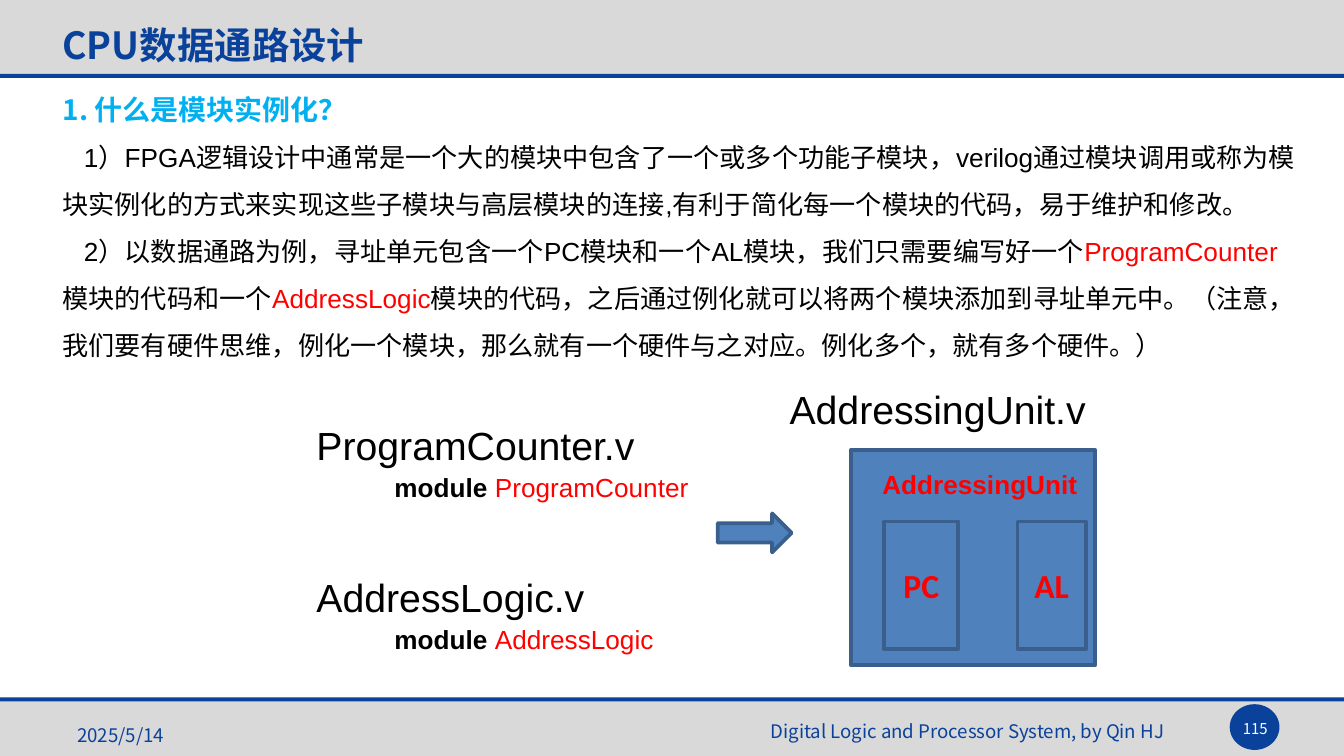
import pptx
import pptx.dml.color
import pptx.enum.shapes
import pptx.enum.text
import pptx.oxml.ns
import pptx.util
from lxml import etree
from pptx.util import Inches

RGBColor = pptx.dml.color.RGBColor
SHAPES = pptx.enum.shapes.MSO_SHAPE
ANCHOR = pptx.enum.text.MSO_ANCHOR
ALIGN = pptx.enum.text.PP_ALIGN

NAVY = RGBColor(0x0A, 0x41, 0x9B)
GRAY = RGBColor(0xD9, 0xD9, 0xD9)
CYAN = RGBColor(0x00, 0xB0, 0xF0)
BLUE = RGBColor(0x4F, 0x81, 0xBD)
OUTLINE = RGBColor(0x3A, 0x5F, 0x8C)
RED = RGBColor(0xFF, 0x00, 0x00)
BLACK = RGBColor(0x00, 0x00, 0x00)
WHITE = RGBColor(0xFF, 0xFF, 0xFF)

CJK_FONT = "Noto Sans CJK SC"
WIDTH = 10
HEIGHT = WIDTH * 9 / 16


def add_block(slide, kind, left, top, width, height, fill, outline=None):
    shape = slide.shapes.add_shape(
        kind, Inches(left), Inches(top), Inches(width), Inches(height))
    shape.shadow.inherit = False
    shape.fill.solid()
    shape.fill.fore_color.rgb = fill
    if outline is None:
        shape.line.fill.background()
    else:
        shape.line.color.rgb = outline
        shape.line.width = pptx.util.Pt(2)
    return shape


def prepare_frame(shape, anchor):
    frame = shape.text_frame
    frame.word_wrap = True
    frame.vertical_anchor = anchor
    frame.margin_left = frame.margin_right = pptx.util.Pt(5.4)
    frame.margin_top = frame.margin_bottom = pptx.util.Pt(2.7)
    return frame


def write_runs(paragraph, parts, size, font_name):
    """Add runs from (text, colour, bold) parts."""
    for text, color, bold in parts:
        run = paragraph.add_run()
        run.text = text
        run.font.size = pptx.util.Pt(size)
        run.font.name = font_name
        run.font.bold = bold
        run.font.color.rgb = color
        east_asian = etree.SubElement(
            run.font._element, pptx.oxml.ns.qn("a:ea"))
        east_asian.set("typeface", CJK_FONT)


def add_text(slide, left, top, width, height, parts, size, font_name="Arial",
             anchor=ANCHOR.TOP, align=ALIGN.LEFT):
    box = slide.shapes.add_textbox(
        Inches(left), Inches(top), Inches(width), Inches(height))
    paragraph = prepare_frame(box, anchor).paragraphs[0]
    paragraph.alignment = align
    write_runs(paragraph, parts, size, font_name)
    return box


def add_header(slide, height):
    add_block(slide, SHAPES.RECTANGLE, 0, 0, WIDTH, height, GRAY)
    add_block(slide, SHAPES.RECTANGLE, 0, height, WIDTH, 0.03, NAVY)
    add_text(slide, 0.39, 0.08, 7.16, 0.51, [("CPU数据通路设计", NAVY, True)],
             20, CJK_FONT, ANCHOR.MIDDLE)


def add_footer(slide, top):
    add_block(slide, SHAPES.RECTANGLE, 0, top, WIDTH, HEIGHT - top, GRAY)
    add_block(slide, SHAPES.RECTANGLE, 0, top - 0.02, WIDTH, 0.03, NAVY)
    add_block(slide, SHAPES.OVAL, 9.15, top + 0.03, 0.37, 0.34, NAVY)
    add_text(slide, 0.5, top + 0.11, 2.33, 0.3, [("2025/5/14", NAVY, False)],
             10, CJK_FONT, ANCHOR.MIDDLE)
    add_text(slide, 5.66, top + 0.11, 3.36, 0.31,
             [("Digital Logic and Processor System, by Qin HJ", NAVY, False)],
             10, CJK_FONT)
    add_text(slide, 9.1, top + 0.06, 0.48, 0.3, [("115", WHITE, False)],
             8, CJK_FONT, ANCHOR.MIDDLE, ALIGN.CENTER)


def add_explanation(slide, left, top, width, height):
    box = add_text(slide, left, top, width, height,
                   [("1. 什么是模块实例化？", CYAN, True)], 15, CJK_FONT)
    points = [
        [("1）FPGA逻辑设计中通常是一个大的模块中包含了一个或多个功能子模块，"
          "verilog通过模块调用或称为模块实例化的方式来实现这些子模块与高层模块的连接,"
          "有利于简化每一个模块的代码，易于维护和修改。", BLACK, False)],
        [("2）以数据通路为例，寻址单元包含一个PC模块和一个AL模块，"
          "我们只需要编写好一个", BLACK, False),
         ("ProgramCounter", RED, False),
         ("模块的代码和一个", BLACK, False),
         ("AddressLogic", RED, False),
         ("模块的代码，之后通过例化就可以将两个模块添加到寻址单元中。"
          "（注意，我们要有硬件思维，例化一个模块，那么就有一个硬件与之对应。"
          "例化多个，就有多个硬件。）", BLACK, False)],
    ]
    for parts in points:
        paragraph = box.text_frame.add_paragraph()
        paragraph.line_spacing = 1.5
        properties = paragraph._p.get_or_add_pPr()
        properties.set("marL", "0")
        properties.set("indent", str(Inches(0.16)))
        write_runs(paragraph, parts, 14, "Arial")


def add_file_name(slide, left, top, module):
    add_text(slide, left, top, 2.7, 0.43, [(module + ".v", BLACK, False)], 21)


def add_source_file(slide, left, top, module):
    """Place a file name with its module declaration below."""
    add_file_name(slide, left, top, module)
    add_text(slide, left + 0.58, top + 0.37, 2.6, 0.31,
             [("module ", BLACK, True), (module, RED, False)], 14)


def add_addressing_unit(slide, left, top, width, height):
    """Draw the unit block holding its two submodule instances."""
    add_block(slide, SHAPES.RECTANGLE, left, top, width, height, BLUE, OUTLINE)
    add_text(slide, left + 0.16, top + 0.1, 1.67, 0.31,
             [("AddressingUnit", RED, True)], 14)
    for name, offset, block_width in (("PC", 0.25, 0.55), ("AL", 1.24, 0.51)):
        block = add_block(slide, SHAPES.RECTANGLE, left + offset, top + 0.53,
                          block_width, 0.95, BLUE, OUTLINE)
        paragraph = prepare_frame(block, ANCHOR.MIDDLE).paragraphs[0]
        paragraph.alignment = ALIGN.CENTER
        write_runs(paragraph, [(name, RED, True)], 18, "Calibri")


def main():
    presentation = pptx.Presentation()
    presentation.slide_width = Inches(WIDTH)
    presentation.slide_height = Inches(HEIGHT)
    slide = presentation.slides.add_slide(presentation.slide_layouts[6])

    add_header(slide, 0.55)
    add_footer(slide, 5.21)
    add_explanation(slide, 0.39, 0.65, 9.37, 2.33)
    add_source_file(slide, 2.28, 3.1, "ProgramCounter")
    add_source_file(slide, 2.28, 4.23, "AddressLogic")
    add_block(slide, SHAPES.RIGHT_ARROW, 5.34, 3.82, 0.55, 0.29, BLUE, OUTLINE)
    add_file_name(slide, 5.8, 2.83, "AddressingUnit")
    add_addressing_unit(slide, 6.33, 3.35, 1.82, 1.6)

    presentation.save("out.pptx")


if __name__ == "__main__":
    main()
